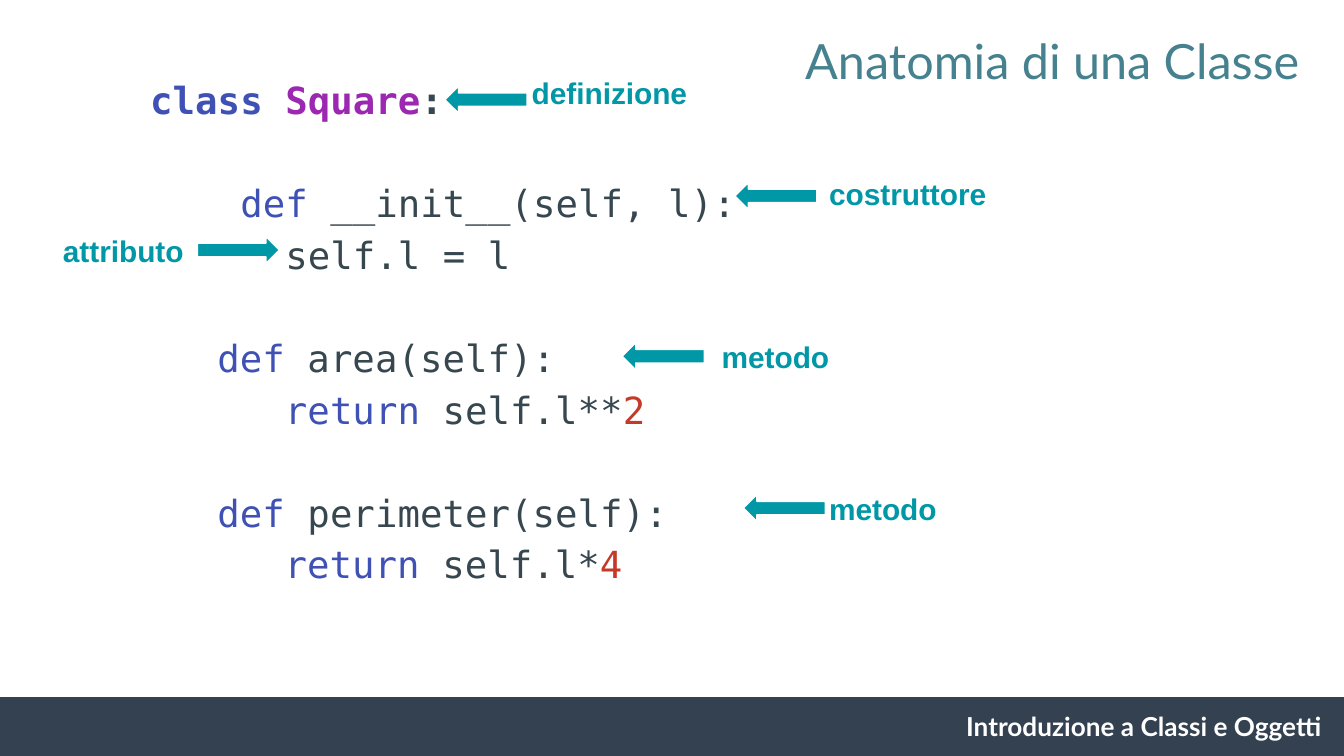
from pptx import Presentation
from pptx.dml.color import RGBColor
from pptx.enum.shapes import MSO_SHAPE
from pptx.enum.text import PP_ALIGN
from pptx.util import Cm, Pt

LEFT_ARROW = MSO_SHAPE.LEFT_ARROW
RECTANGLE = MSO_SHAPE.RECTANGLE
RIGHT = PP_ALIGN.RIGHT
LEFT = PP_ALIGN.LEFT

WHITE = RGBColor(0xFF, 0xFF, 0xFF)
TITLE_BLUE = RGBColor(0x45, 0x81, 0x8E)
FOOTER_BLUE = RGBColor(0x33, 0x41, 0x50)
TEAL = RGBColor(0x00, 0x97, 0xA7)
KEYWORD = RGBColor(0x3F, 0x51, 0xB5)
CLASS_NAME = RGBColor(0x9C, 0x27, 0xB0)
CODE = RGBColor(0x37, 0x47, 0x4F)
NUMBER = RGBColor(0xC5, 0x39, 0x29)

TITLE_FORMAT = {"name": "Lato", "size": Pt(26)}
FOOTER_FORMAT = {"name": "Lato", "size": Pt(14), "bold": True}
LABEL_FORMAT = {"name": "Arial", "size": Pt(16), "bold": True}
CODE_FORMAT = {"name": "DejaVu Sans Mono", "size": Pt(20), "bold": False}
CLASS_FORMAT = {**CODE_FORMAT, "bold": True}

BLANK_LINE = Pt(27.6)
INDENT = Cm(1.27)

# Each line: indent level, blank line before, format, coloured pieces
CODE_LINES = [
    (0, False, CLASS_FORMAT,
     [("class ", KEYWORD), ("Square", CLASS_NAME), (":", CODE)]),
    (0, True, CODE_FORMAT,
     [("    ", CODE), ("def", KEYWORD), (" __init__(self, l):", CODE)]),
    (0, False, CODE_FORMAT, [("      self.l = l", CODE)]),
    (1, True, CODE_FORMAT, [("def", KEYWORD), (" area(self):", CODE)]),
    (1, False, CODE_FORMAT,
     [("   ", CODE), ("return", KEYWORD), (" self.l**", CODE), ("2", NUMBER)]),
    (1, True, CODE_FORMAT, [("def", KEYWORD), (" perimeter(self):", CODE)]),
    (2, False, CODE_FORMAT,
     [("return", KEYWORD), (" self.l*", CODE), ("4", NUMBER)]),
]

ANNOTATIONS = [
    ("definizione", 9.8, 1.17, 3.78, 8.41, 1.63, 0),
    ("costruttore", 15.42, 3.07, 4.19, 13.89, 3.45, 0),
    ("attributo", 0.94, 4.14, 3.4, 3.73, 4.47, 180),
    ("metodo", 13.39, 6.15, 4.19, 11.76, 6.48, 0),
    ("metodo", 15.42, 9.02, 4.19, 14.05, 9.35, 0),
]


def add_run(paragraph, text, font_format, color):
    run = paragraph.add_run()
    run.text = text
    for name, value in font_format.items():
        setattr(run.font, name, value)
    run.font.color.rgb = color


def add_frame(slide, left, top, width, height):
    frame = slide.shapes.add_textbox(
        Cm(left), Cm(top), Cm(width), Cm(height)).text_frame
    frame.word_wrap = True
    for side in ("left", "top", "right", "bottom"):
        setattr(frame, f"margin_{side}", Cm(0.25))
    return frame


def add_text(slide, text, position, font_format, color, alignment=LEFT):
    paragraph = add_frame(slide, *position).paragraphs[0]
    paragraph.alignment = alignment
    add_run(paragraph, text, font_format, color)


def add_code(slide):
    frame = add_frame(slide, 2.59, 1.09, 19.61, 11.28)
    for index, (level, blank_before, font_format, pieces) in enumerate(CODE_LINES):
        paragraph = frame.add_paragraph() if index else frame.paragraphs[0]
        paragraph.line_spacing = 1.15
        if blank_before:
            paragraph.space_before = BLANK_LINE
        properties = paragraph._p.get_or_add_pPr()
        properties.set("marL", str(level * INDENT))
        properties.set("indent", "0")
        for text, color in pieces:
            add_run(paragraph, text, font_format, color)


def add_filled_shape(slide, kind, position, color):
    shape = slide.shapes.add_shape(kind, *map(Cm, position))
    shape.shadow.inherit = False
    shape.fill.solid()
    shape.fill.fore_color.rgb = color
    shape.line.fill.background()
    return shape


def add_arrow(slide, left, top, rotation):
    arrow = add_filled_shape(slide, LEFT_ARROW, (left, top, 1.55, 0.51), TEAL)
    arrow.rotation = rotation
    arrow.line.color.rgb = WHITE
    arrow.line.width = Pt(0.75)


def main():
    presentation = Presentation()
    presentation.slide_width = Cm(25.4)
    presentation.slide_height = Cm(14.29)
    slide = presentation.slides.add_slide(presentation.slide_layouts[6])

    add_text(slide, "Anatomia di una Classe", (4.83, 0.33, 19.99, 1.63),
             TITLE_FORMAT, TITLE_BLUE, RIGHT)
    add_code(slide)
    for text, left, top, width, arrow_left, arrow_top, rotation in ANNOTATIONS:
        add_arrow(slide, arrow_left, arrow_top, rotation)
        add_text(slide, text, (left, top, width, 1.19), LABEL_FORMAT, TEAL)
    add_filled_shape(slide, RECTANGLE, (0, 13.18, 25.4, 1.11), FOOTER_BLUE)
    add_text(slide, "Introduzione a Classi e Oggetti", (17.91, 13.18, 7.32, 1.11),
             FOOTER_FORMAT, WHITE, RIGHT)

    presentation.save("out.pptx")


if __name__ == "__main__":
    main()
